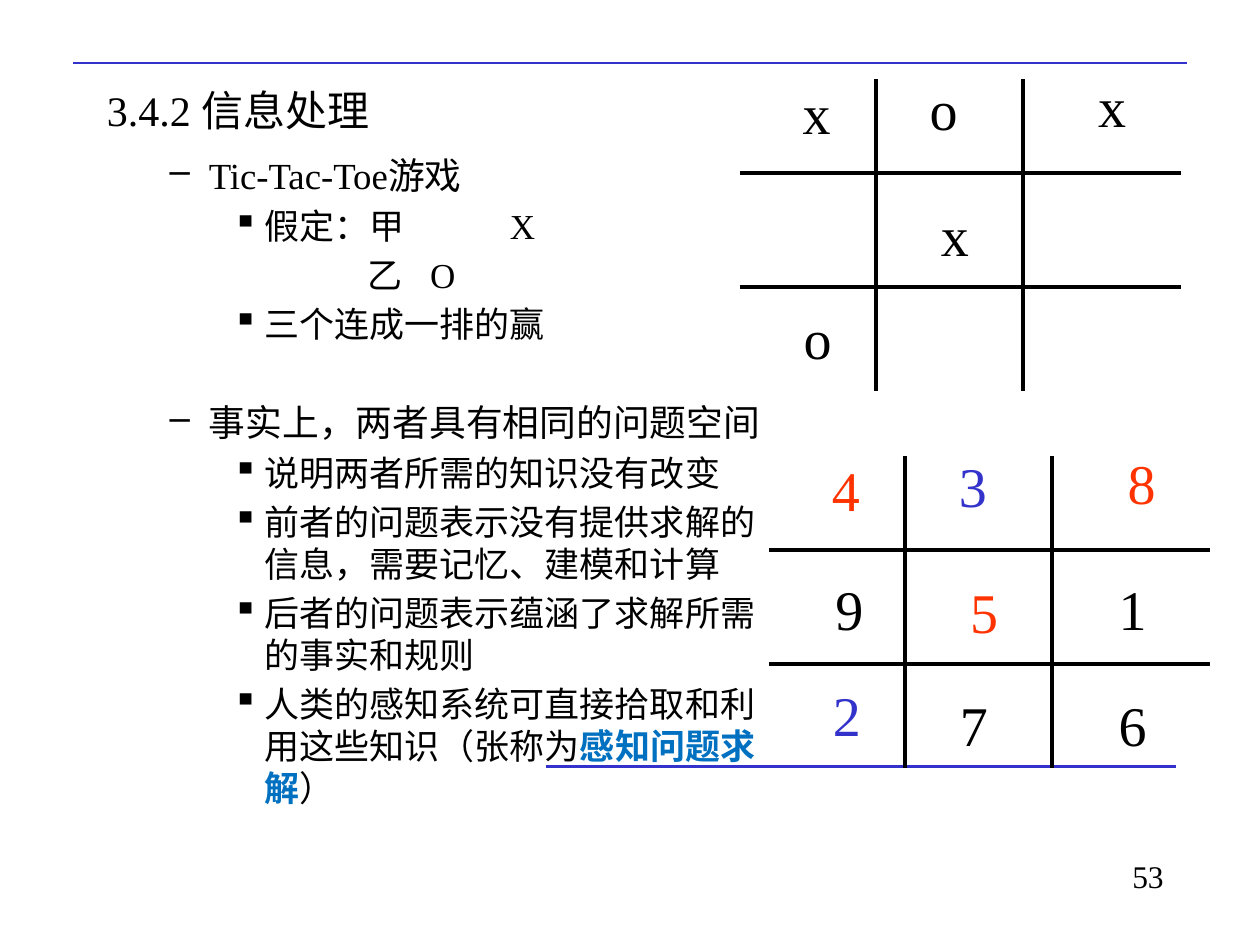
from lxml import etree
from pptx import Presentation
from pptx.dml.color import RGBColor
from pptx.enum.shapes import MSO_CONNECTOR
from pptx.enum.text import MSO_ANCHOR, PP_ALIGN
from pptx.oxml.ns import qn
from pptx.util import Cm, Pt

STRAIGHT = MSO_CONNECTOR.STRAIGHT
MIDDLE = MSO_ANCHOR.MIDDLE
LEFT, RIGHT = PP_ALIGN.LEFT, PP_ALIGN.RIGHT
BLACK, BLUE, RED, ACCENT = "000000", "3333CC", "FF3300", "0070C0"
TOPIC = dict(size=21, margin=2.06, indent=-0.79, bullet="–")
POINT = dict(size=20, margin=3.18, indent=-0.64, bullet="▪")
SPOTS = [
    [(1.02, -0.15), (3.58, -0.23), (6.98, -0.28)],
    [(1.09, 2.26), (3.81, 2.31), (6.8, 2.26)],
    [(1.04, 4.39), (3.6, 4.59), (6.8, 4.59)],
]


def color(value):
    """Turn a hex string into a colour."""
    return RGBColor.from_string(value)


def add_span(para, text, size=20, fill=BLACK, bold=False):
    """Append formatted text to a paragraph."""
    span = para.add_run()
    span.text = text
    span.font.name = "Times New Roman"
    span.font.size = Pt(size)
    span.font.bold = bold
    span.font.color.rgb = color(fill)


def format_para(para, size=20, margin=0, indent=0, bullet=None, tab=None, before=None):
    """Set the indents, bullet, tab stop and spacing of a paragraph."""
    properties = para._p.get_or_add_pPr()
    properties.set("marL", str(Cm(margin)))
    properties.set("indent", str(Cm(indent)))
    if bullet:
        etree.SubElement(properties, qn("a:buChar")).set("char", bullet)
    if tab:
        stops = etree.SubElement(properties, qn("a:tabLst"))
        stop = etree.SubElement(stops, qn("a:tab"))
        stop.set("pos", str(Cm(tab)))
        stop.set("algn", "l")
    para.space_before = Pt(size * 0.2 if before is None else before)


class SlideBuilder:
    """Hold the style and the current slide."""

    def __init__(self, page):
        """Start on the given slide."""
        self.page = page
        self.mark_size = 32

    def title(self, text, left, top, width, height):
        """Place and fill the title."""
        box = self.page.shapes.title
        box.left, box.top, box.width, box.height = map(Cm, (left, top, width, height))
        box.text_frame.vertical_anchor = MIDDLE
        para = box.text_frame.paragraphs[0]
        para.alignment = LEFT
        add_span(para, text, size=24)

    def line(self, x1, y1, x2, y2, fill=BLACK, weight=2.25, parent=None):
        """Draw a straight line."""
        shapes = (parent or self.page).shapes
        line = shapes.add_connector(STRAIGHT, *map(Cm, (x1, y1, x2, y2)))
        line.line.color.rgb = color(fill)
        line.line.width = Pt(weight)
        etree.SubElement(line._element.spPr, qn("a:effectLst"))

    def text_box(self, left, top, width, height, wrap=True, parent=None):
        """Add an empty text box and return its text frame."""
        shapes = (parent or self.page).shapes
        frame = shapes.add_textbox(*map(Cm, (left, top, width, height))).text_frame
        frame.word_wrap = wrap
        return frame

    def number(self, text, left, top, width, height):
        """Add the page number."""
        para = self.text_box(left, top, width, height).paragraphs[0]
        para.alignment = RIGHT
        add_span(para, text, size=18)

    def outline(self, items, left, top, width, height):
        """Add the outline from pairs of spans and paragraph format."""
        frame = self.text_box(left, top, width, height)
        for index, (spans, layout) in enumerate(items):
            para = frame.add_paragraph() if index else frame.paragraphs[0]
            format_para(para, **layout)
            for text, style in spans:
                add_span(para, text, size=layout["size"], **style)

    def board(self, left, top, rows, fills):
        """Draw a three by three board with its marks."""
        group = self.page.shapes.add_group_shape()
        for y in (1.88, 4.19):
            self.line(left, top + y, left + 8.89, top + y, parent=group)
        for x in (2.75, 5.71):
            self.line(left + x, top, left + x, top + 6.28, parent=group)
        for row, spots in zip(rows, SPOTS):
            for mark, (x, y) in zip(row, spots):
                if mark != " ":
                    frame = self.text_box(left + x, top + y, 1.07, 1.6, False, group)
                    add_span(frame.paragraphs[0], mark, self.mark_size, fills.get(mark, BLACK))


def plain(text, layout, **extra):
    """Make an outline item with a single span."""
    return [(text, {})], {**layout, **extra}


def main():
    """Build and save the slide."""
    deck = Presentation()
    deck.slide_width, deck.slide_height = Cm(25.4), Cm(19.05)
    slide = SlideBuilder(deck.slides.add_slide(deck.slide_layouts[5]))
    slide.line(1.48, 1.27, 23.92, 1.27, BLUE, 1.5)
    slide.line(11, 15.45, 23.7, 15.45, BLUE, 1.5)
    slide.number("53", 18.42, 17.15, 5.29, 1.27)
    slide.title("3.4.2 信息处理", 1.9, 1.48, 21.6, 1.48)
    emphasis = [
        ("人类的感知系统可直接拾取和利用这些知识（张称为", {}),
        ("感知问题求解", dict(fill=ACCENT, bold=True)),
        ("）", {}),
    ]
    items = [
        plain("Tic-Tac-Toe游戏", TOPIC, before=0),
        plain("假定：甲\tX", POINT, tab=8.13),
        plain("乙\tO", dict(size=20, margin=5.25), tab=7.84),
        plain("三个连成一排的赢", POINT),
        plain("事实上，两者具有相同的问题空间", TOPIC, before=32),
        plain("说明两者所需的知识没有改变", POINT),
        plain("前者的问题表示没有提供求解的信息，需要记忆、建模和计算", POINT),
        plain("后者的问题表示蕴涵了求解所需的事实和规则", POINT),
        (emphasis, POINT),
    ]
    slide.outline(items, 1.9, 2.96, 14.2, 12.75)
    slide.board(14.91, 1.6, ["xox", " x ", "o  "], {})
    digit_fills = {"4": RED, "8": RED, "5": RED, "3": BLUE, "2": BLUE}
    slide.board(15.5, 9.2, ["438", "951", "276"], digit_fills)
    deck.save("out.pptx")


if __name__ == "__main__":
    main()
